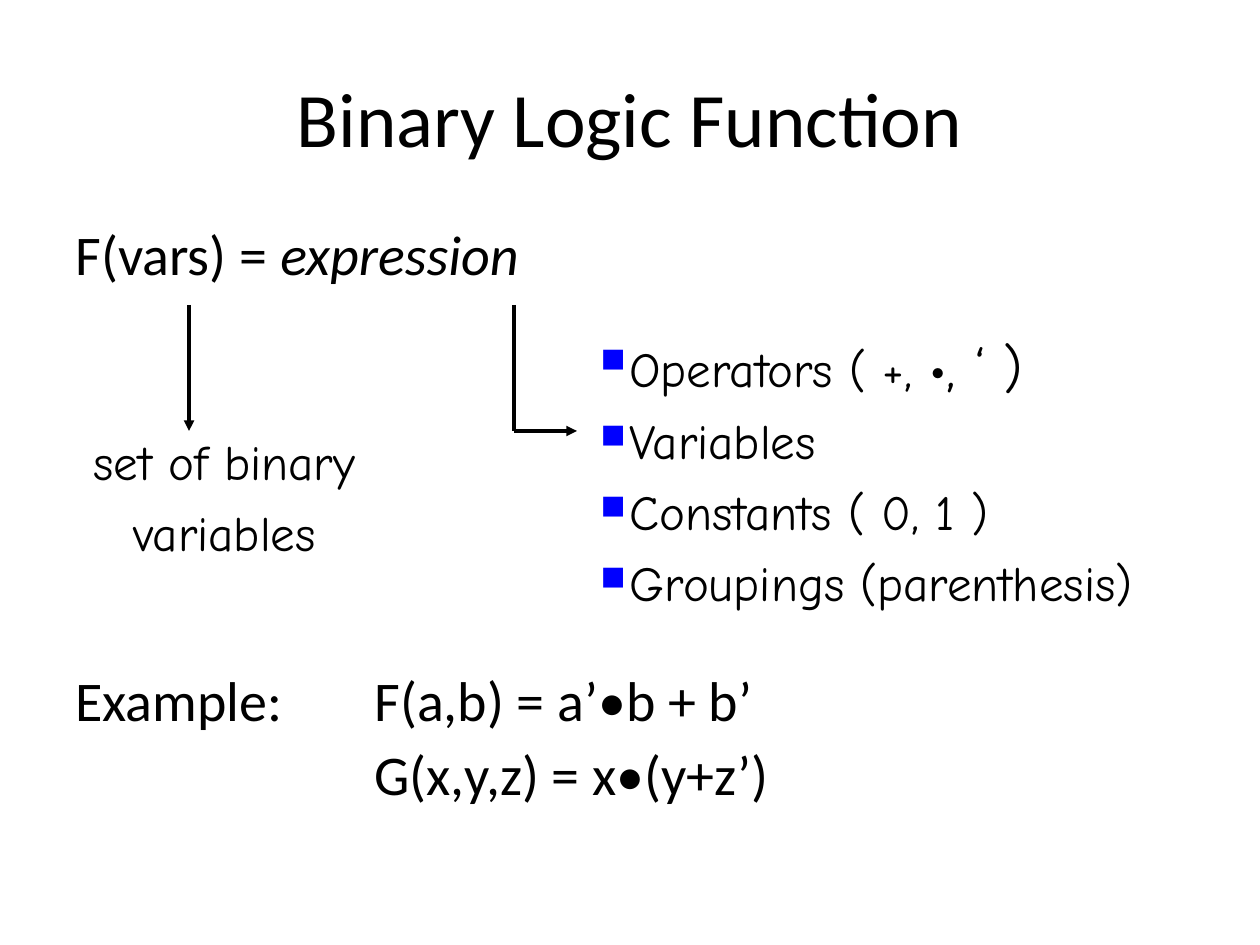
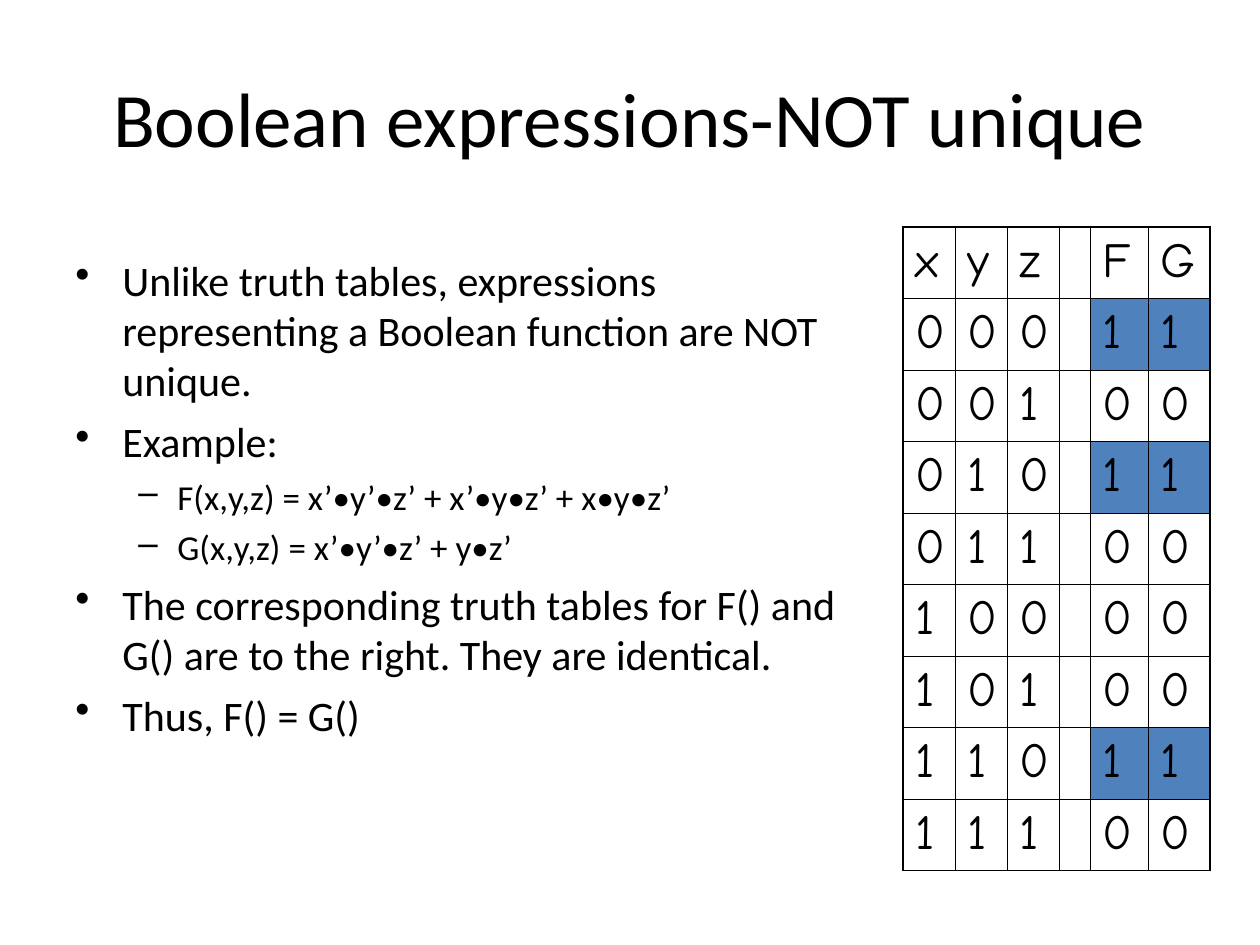
import lxml.etree
import pptx
import pptx.dml.color
import pptx.enum.shapes
import pptx.enum.text
import pptx.oxml.ns
import pptx.util

PX = 914400 / 126  # EMU in one px
BLACK = pptx.dml.color.RGBColor(0, 0, 0)
BULLET_BLUE = pptx.dml.color.RGBColor(0, 0, 255)
TRUE_FILL = pptx.dml.color.RGBColor(0x4F, 0x81, 0xBD)
BODY_FONT = "Calibri"
HAND_FONT = "Comic Neue"
ALIGN = pptx.enum.text.PP_ALIGN
TITLE_BOX = (63, 38, 1134, 157)


def emu(px):
    return pptx.util.Emu(round(px * PX))


def sub(parent, tag, **attributes):
    """Append a DrawingML element."""
    values = {key: str(value) for key, value in attributes.items()}
    return lxml.etree.SubElement(parent, pptx.oxml.ns.qn(tag), values)


def style_runs(paragraph, size, font):
    for run in paragraph.runs:
        run.font.size = pptx.util.Pt(size)
        run.font.name = font
        run.font.color.rgb = BLACK


def add_title_slide(deck, title):
    slide = deck.slides.add_slide(deck.slide_layouts[5])
    heading = slide.shapes.title
    heading.left, heading.top, heading.width, heading.height = map(emu, TITLE_BOX)
    frame = heading.text_frame
    frame.text = title
    frame.vertical_anchor = pptx.enum.text.MSO_ANCHOR.MIDDLE
    frame.paragraphs[0].alignment = ALIGN.CENTER
    style_runs(frame.paragraphs[0], 44, BODY_FONT)
    return slide


def add_text(slide, box, lines, size, font, before, wrap=True):
    """Place one paragraph per line and return the paragraphs."""
    frame = slide.shapes.add_textbox(*map(emu, box)).text_frame
    frame.word_wrap = wrap
    frame.text = "\n".join(lines)
    for paragraph in frame.paragraphs:
        paragraph.space_before = pptx.util.Pt(before)
        style_runs(paragraph, size, font)
    return frame.paragraphs


def add_bullet(paragraph, mark, color, text_left, hang, percent=100):
    props = paragraph._p.get_or_add_pPr()
    props.set("marL", str(emu(text_left)))
    props.set("indent", str(-emu(hang)))
    sub(sub(props, "a:buClr"), "a:srgbClr", val=color)
    sub(props, "a:buSzPct", val=percent * 1000)
    sub(props, "a:buChar", char=mark)


def add_line(slide, start, end, arrow=False):
    line = slide.shapes.add_connector(
        pptx.enum.shapes.MSO_CONNECTOR.STRAIGHT, *map(emu, start + end))
    line.line.color.rgb = BLACK
    line.line.width = pptx.util.Pt(2)
    if arrow:
        sub(line.line._get_or_add_ln(), "a:tailEnd", type="triangle")
    sub(line._element.spPr, "a:effectLst")


def add_formulas(slide, box):
    """General form at the top, worked examples at the bottom."""
    paragraphs = add_text(
        slide, box,
        ["F(vars) = ", "Example:\tF(a,b) = a’•b + b’", "\tG(x,y,z) = x•(y+z’)"],
        32, BODY_FONT, 8)
    general, first_example, _ = paragraphs
    general.add_run().text = "expression"
    style_runs(general, 32, BODY_FONT)
    general.runs[1].font.italic = True
    first_example.space_before = pptx.util.Pt(220)
    for paragraph in paragraphs:
        paragraph.line_spacing = 0.9
    for example in paragraphs[1:]:
        tabs = sub(example._p.get_or_add_pPr(), "a:tabLst")
        sub(tabs, "a:tab", pos=emu(299), algn="l")


def add_vars_note(slide, box):
    left, top, _, _ = box
    arrow_x = left + 108
    add_line(slide, (arrow_x, top - 120), (arrow_x, top + 6), arrow=True)
    for paragraph in add_text(slide, box, ["set of binary", "variables"],
                              28, HAND_FONT, 7, wrap=False):
        paragraph.alignment = ALIGN.CENTER


def add_expression_parts(slide, box):
    left, top, _, _ = box
    # Elbow from the word "expression" to the list
    elbow = (left - 74, top + 106)
    add_line(slide, (elbow[0], top - 20), elbow)
    add_line(slide, elbow, (left - 11, elbow[1]), arrow=True)
    parts = add_text(
        slide, box,
        ["Operators ( +, ", "Variables", "Constants ( 0, 1 )", "Groupings (parenthesis)"],
        28, HAND_FONT, 7)
    operators = parts[0]
    operators.space_before = pptx.util.Pt(8)
    operators.add_run().text = "•, ‘ )"
    style_runs(operators, 28, HAND_FONT)
    operators.runs[1].font.size = pptx.util.Pt(32)
    for part in parts:
        add_bullet(part, "■", BULLET_BLUE, 29, 29, 70)


def add_argument(slide, box):
    outline = [
        (0, "Unlike truth tables, expressions representing a Boolean function are NOT unique."),
        (0, "Example:"),
        (1, "F(x,y,z) = x’•y’•z’ + x’•y•z’ + x•y•z’"),
        (1, "G(x,y,z) = x’•y’•z’ + y•z’"),
        (0, "The corresponding truth tables for F() and G() are to the right. They are identical."),
        (0, "Thus, F() = G()"),
    ]
    paragraphs = add_text(slide, box, [line for _, line in outline], 24, BODY_FONT, 6)
    for paragraph, (level, _) in zip(paragraphs, outline):
        if level:
            paragraph.level = level
            paragraph.space_before = pptx.util.Pt(5)
            style_runs(paragraph, 20, BODY_FONT)
            add_bullet(paragraph, "–", BLACK, 102, 39)
        else:
            add_bullet(paragraph, "•", BLACK, 47, 47)


def set_borders(cell, thick_sides):
    props = cell._tc.get_or_add_tcPr()
    for side in "LRTB":
        width = 1.08 if side in thick_sides else 0.45
        border = sub(props, f"a:ln{side}", w=pptx.util.Pt(width))
        sub(sub(border, "a:solidFill"), "a:srgbClr", val=BLACK)


def add_truth_table(slide, box):
    widths = [52, 52, 52, 31, 58, 62]
    rows = [["x", "y", "z", "", "F", "G"]]
    for number in range(8):
        x, y, z = number >> 2, number >> 1 & 1, number & 1
        f = int((not x and not y and not z) or (not x and y and not z)
                or (x and y and not z))
        g = int((not x and not y and not z) or (y and not z))
        rows.append([str(x), str(y), str(z), "", str(f), str(g)])

    table = slide.shapes.add_table(len(rows), len(widths), *map(emu, box)).table
    table.first_row = table.horz_banding = False
    for column, width in zip(table.columns, widths):
        column.width = emu(width)
    last_row, last_column = len(rows) - 1, len(widths) - 1
    for r, values in enumerate(rows):
        for c, value in enumerate(values):
            cell = table.cell(r, c)
            # Thick outer frame, thin inner grid
            outer = {"L": c == 0, "R": c == last_column, "T": r == 0, "B": r == last_row}
            set_borders(cell, [side for side, on_edge in outer.items() if on_edge])
            if c > 3 and value == "1":
                cell.fill.solid()
                cell.fill.fore_color.rgb = TRUE_FILL
            else:
                cell.fill.background()
            if value:
                paragraph = cell.text_frame.paragraphs[0]
                paragraph.text = value
                paragraph.space_before = pptx.util.Pt(7)
                style_runs(paragraph, 28, HAND_FONT)


def main():
    deck = pptx.Presentation()
    deck.slide_width, deck.slide_height = emu(1260), emu(945)

    function_slide = add_title_slide(deck, "Binary Logic Function")
    add_formulas(function_slide, (63, 221, 1134, 624))
    add_vars_note(function_slide, (81, 425, 287, 142))
    add_expression_parts(function_slide, (588, 325, 648, 364))

    unique_slide = add_title_slide(deck, "Boolean expressions-NOT unique")
    add_argument(unique_slide, (63, 248, 800, 624))
    add_truth_table(unique_slide, (903, 227, 307, 643))

    deck.save("out.pptx")


if __name__ == "__main__":
    main()
